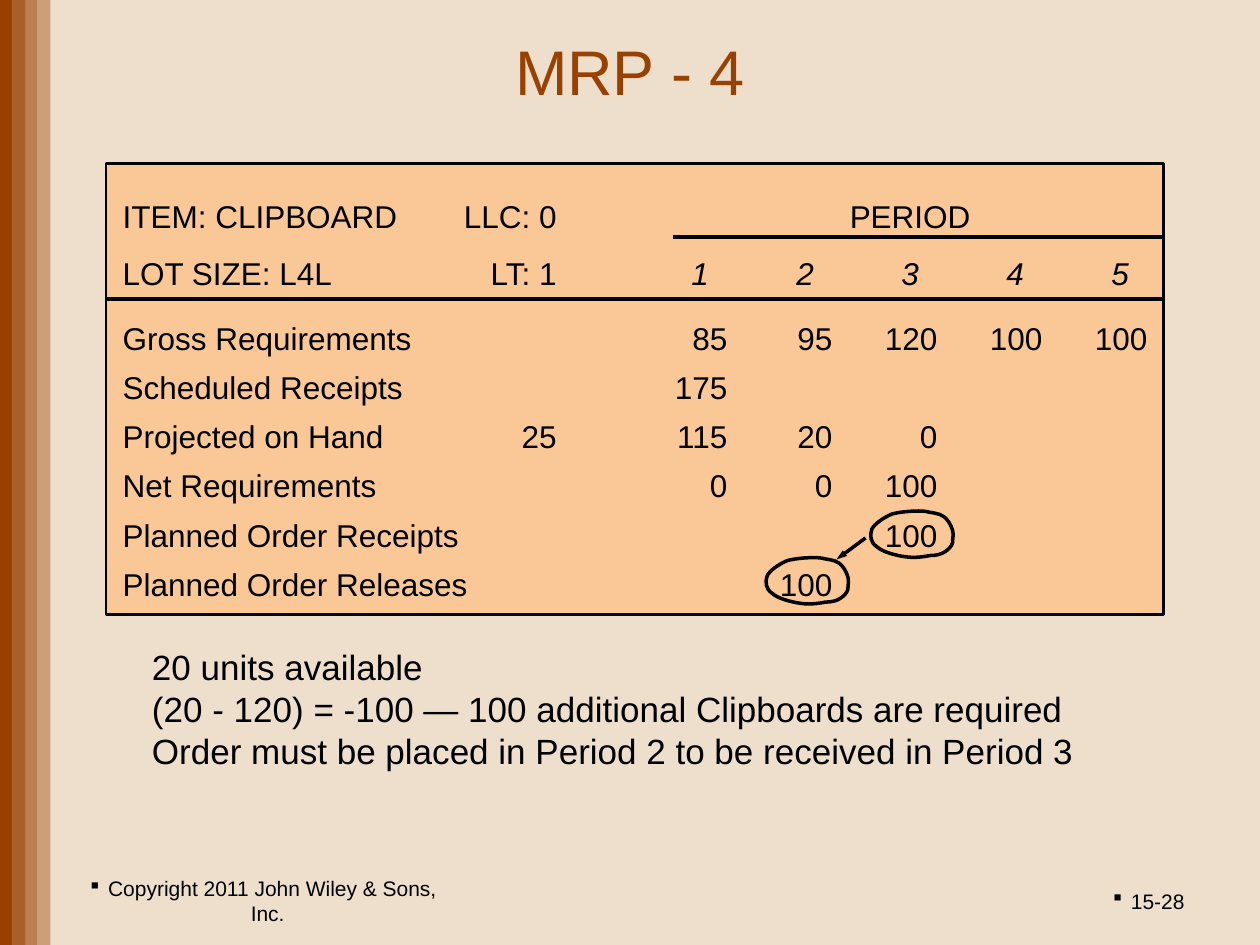
import pptx
import pptx.util
import pptx.dml.color
import pptx.enum.shapes
import pptx.enum.text
import pptx.oxml
import pptx.oxml.ns
import lxml.etree

Pt = pptx.util.Pt
qn = pptx.oxml.ns.qn
ALIGN = pptx.enum.text.PP_ALIGN
ANCHOR = pptx.enum.text.MSO_ANCHOR
SHAPE = pptx.enum.shapes.MSO_SHAPE
LINE = pptx.enum.shapes.MSO_CONNECTOR

HUES = {"back": "EEDFCC", "bar": "994000", "title": "994100",
        "panel": "FAC896", "ink": "000000"}

# Loop outline in hundredths of an inch: start, then two handles and an end per curve
START = (45, 1)
CURVES = [
    ((39, 0), (25, 1), (18, 3)), ((11, 6), (4, 11), (2, 15)),
    ((0, 20), (1, 26), (6, 29)), ((10, 33), (21, 36), (29, 37)),
    ((36, 38), (43, 37), (48, 36)), ((53, 36), (57, 35), (60, 33)),
    ((63, 31), (65, 29), (66, 26)), ((66, 23), (67, 19), (66, 16)),
    ((65, 12), (62, 7), (59, 5)), ((55, 2), (48, 2), (45, 1)),
]


def hue(name):
    return pptx.dml.color.RGBColor.from_string(HUES[name])


def node(parent, tag, **attrs):
    return lxml.etree.SubElement(parent, qn(tag), attrs)


def write(frame, lines, size=18, color="ink", align=ALIGN.LEFT, space=None,
          tabs=(), bullet=None):
    """Fill a frame; each line is a string or a list of (text, italic) runs."""
    for i, line in enumerate(lines):
        para = frame.paragraphs[0] if i == 0 else frame.add_paragraph()
        props = para._p.get_or_add_pPr()
        if bullet:
            props.set("marL", "0")
            props.set("indent", str(-Pt(10.3)))
            node(props, "a:buFont", typeface="Wingdings")
            node(props, "a:buChar", char=bullet)
        if tabs:
            stops = node(props, "a:tabLst")
            for place, kind in tabs:
                node(stops, "a:tab", pos=str(Pt(place)), algn=kind)
        para.alignment = align
        if space:
            para.line_spacing = space
        for text, slant in [(line, False)] if isinstance(line, str) else line:
            run = para.add_run()
            run.text = text
            run.font.name = "Arial"
            run.font.size = Pt(size)
            run.font.italic = slant
            run.font.color.rgb = hue(color)


class Deck:
    def __init__(self, wide, high):
        self.file = pptx.Presentation()
        self.file.slide_width, self.file.slide_height = Pt(wide), Pt(high)
        self.slide = self.file.slides.add_slide(self.file.slide_layouts[6])
        self.slide.background.fill.solid()
        self.slide.background.fill.fore_color.rgb = hue("back")
        self.shapes = self.slide.shapes

    def rect(self, x, y, w, h, color, edge=None, alpha=100):
        box = self.shapes.add_shape(SHAPE.RECTANGLE, Pt(x), Pt(y), Pt(w), Pt(h))
        box.shadow.inherit = False
        box.fill.solid()
        box.fill.fore_color.rgb = hue(color)
        if alpha < 100:
            tint = box._element.spPr.find(qn("a:solidFill"))[0]
            node(tint, "a:alpha", val=str(alpha * 1000))
        if edge:
            box.line.color.rgb = hue("ink")
            box.line.width = Pt(edge)
        else:
            box.line.fill.background()

    def line(self, x1, y1, x2, y2, width, arrow=False):
        rule = self.shapes.add_connector(LINE.STRAIGHT, Pt(x1), Pt(y1), Pt(x2), Pt(y2))
        rule.line.color.rgb = hue("ink")
        rule.line.width = Pt(width)
        if arrow:
            node(rule.line._get_or_add_ln(), "a:tailEnd", type="triangle", w="sm")
        node(rule._element.spPr, "a:effectLst")

    def loop(self, x, y):
        ends = [curve[-1] for curve in CURVES]
        left, top = (min(end[k] for end in ends) for k in (0, 1))
        pen = self.shapes.build_freeform(*START, scale=Pt(0.72))
        pen.add_line_segments(ends, close=True)
        ring = pen.convert_to_shape(Pt(x), Pt(y))
        # Turn the straight sides into curves
        sides = list(ring._element.spPr.iter(qn("a:lnTo")))
        for side, curve in zip(sides, CURVES):
            bend = lxml.etree.Element(qn("a:cubicBezTo"))
            for px, py in curve:
                node(bend, "a:pt", x=str(px - left), y=str(py - top))
            side.getparent().replace(side, bend)
        ring.shadow.inherit = False
        ring.fill.background()
        ring.line.color.rgb = hue("ink")
        ring.line.width = Pt(2)

    def text(self, x, y, w, h, lines, wrap=True, anchor=ANCHOR.TOP, inset=7.2, **form):
        frame = self.shapes.add_textbox(Pt(x), Pt(y), Pt(w), Pt(h)).text_frame
        frame.word_wrap = wrap
        frame.vertical_anchor = anchor
        frame.margin_left = Pt(inset)
        write(frame, lines, **form)


def main():
    deck = Deck(720, 540)

    # Fading side bars
    for i in range(4):
        deck.rect(7.2 * i, 0, 7.2, 540, "bar", alpha=100 - 20 * i)

    # Footer
    foot = dict(size=12, anchor=ANCHOR.MIDDLE, bullet="§", inset=13)
    deck.text(36, 500.4, 228, 28.8, ["Copyright 2011 John Wiley & Sons, Inc."],
              align=ALIGN.CENTER, **foot)
    deck.text(516, 500.4, 168, 28.8, ["15-28"], align=ALIGN.RIGHT, **foot)

    # Panel and rules
    deck.rect(60.5, 93.6, 604.5, 257.5, "panel", edge=1.5)
    deck.line(61, 170.8, 665.2, 170.8, 2.25)
    deck.line(384.5, 135.2, 665, 135.2, 2.25)

    # Plan heading
    first = [(248, "r")]
    deck.text(63, 98.2, 604.8, 68.4, [
        "ITEM: CLIPBOARD\tLLC: 0\t\t\tPERIOD",
        [("LOT SIZE: L4L\tLT: 1\t", False), ("1\t2\t3\t4\t5", True)],
    ], space=1.5, tabs=first + [(330 + 60 * i, "ctr") for i in range(5)])

    # Plan rows: label, stock at start, then periods
    rows = [
        ("Gross Requirements", "", "85", "95", "120", "100", "100"),
        ("Scheduled Receipts", "", "175"),
        ("Projected on Hand", "25", "115", "20", "0", ""),
        ("Net Requirements", "", "0", "0", "100", ""),
        ("Planned Order Receipts", "", "", "", "100", ""),
        ("Planned Order Releases", "", "", "100", ""),
    ]
    deck.text(63, 172.4, 609, 175.7, ["\t".join(row) for row in rows],
              space=1.3, tabs=first + [(345.6 + 60 * i, "r") for i in range(5)])

    # Notes under the panel
    deck.text(79.8, 365.5, 545, 80, [
        "20 units available",
        "(20 - 120) = -100 — 100 additional Clipboards are required",
        "Order must be placed in Period 2 to be received in Period 3",
    ], wrap=False, size=20)

    # Order receipt traced back to its release
    deck.loop(496.8, 291.6)
    deck.loop(437, 318.2)
    deck.line(494.6, 307.4, 478, 319.7, 2, arrow=True)

    # Title
    deck.text(126, 9.4, 468, 61.2, ["MRP - 4"], size=36, color="title",
              align=ALIGN.CENTER, anchor=ANCHOR.MIDDLE)

    deck.file.save("out.pptx")


if __name__ == "__main__":
    main()
